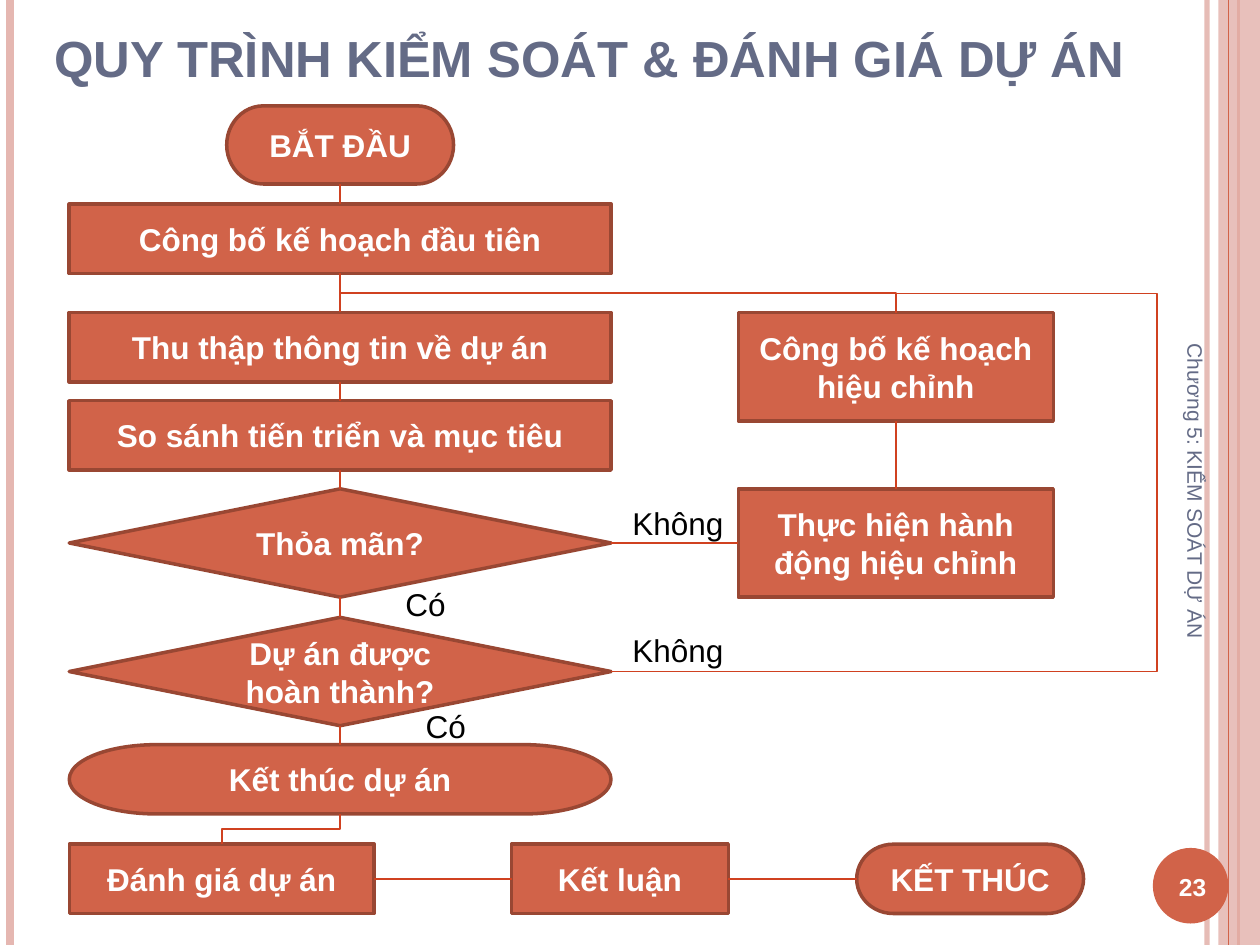
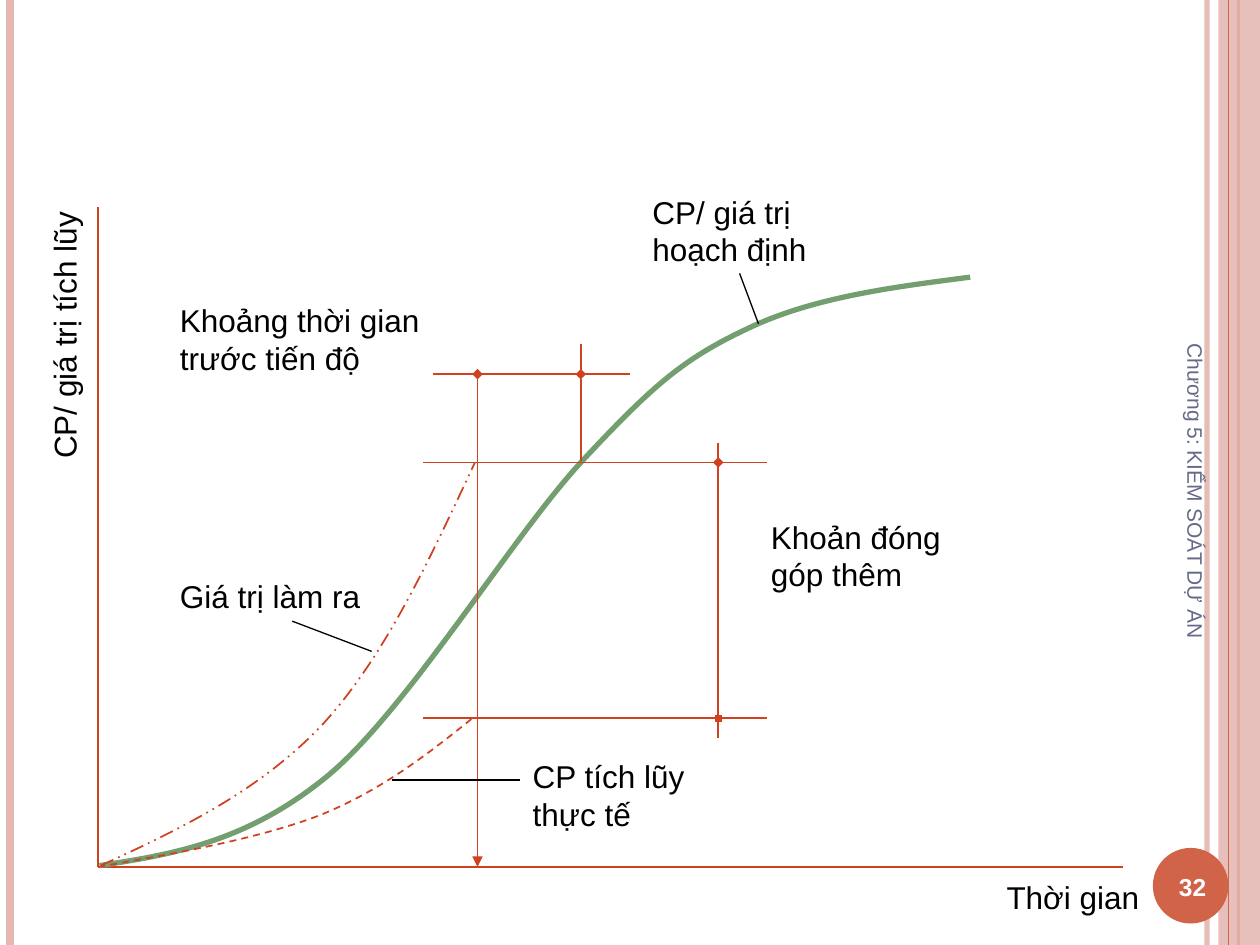
from lxml.etree import SubElement
from pptx import Presentation
from pptx.dml.color import RGBColor
from pptx.enum.dml import MSO_LINE as Dash
from pptx.enum.shapes import MSO_CONNECTOR as Link, MSO_SHAPE as Form
from pptx.enum.text import MSO_ANCHOR as Anchor, MSO_AUTO_SIZE as Fit, PP_ALIGN as Align
from pptx.oxml.ns import qn
from pptx.util import Inches, Pt

# Shared look
FONT = "Arial"
BRICK, BRICK_EDGE, RUST = "D16349", "994733", "D04120"
PINK, SLATE, GREEN = "E5B7B1", "646B86", "739E6F"
WHITE, BLACK = "FFFFFF", "000000"
colour = RGBColor.from_string

# The slide is a grid of 100 columns by 75 rows
COLUMNS, ROWS = 100, 75
CELL = Inches(0.1)

deck = Presentation()
deck.slide_width = CELL * COLUMNS
deck.slide_height = CELL * ROWS


def set_box(box, frame, text="", size=18, ink=BLACK, bold=False,
            align=Align.LEFT, anchor=Anchor.TOP):
    """Place a box on the grid and write its text."""
    box.left, box.top, box.width, box.height = [int(CELL * n) for n in frame]
    if not text:
        return
    body = box.text_frame
    body.word_wrap = True
    body.auto_size = Fit.NONE
    body.vertical_anchor = anchor
    para = body.paragraphs[0]
    para.alignment = align
    span = para.add_run()
    span.text = text
    span.font.name = FONT
    span.font.size = Pt(size)
    span.font.bold = bold
    span.font.color.rgb = colour(ink)


def add_line(page, points, ink=RUST, width=1, kind=Link.STRAIGHT, head=None, tail=None):
    """Join two grid points, with optional line ends."""
    line = page.shapes.add_connector(kind, *[int(CELL * n) for n in points])
    line.line.color.rgb = colour(ink)
    line.line.width = Pt(width)
    outline = line.element.find(".//" + qn("a:ln"))
    for tag, end in (("a:headEnd", head), ("a:tailEnd", tail)):
        if end:
            SubElement(outline, qn(tag), type=end)
    SubElement(line.element.find(qn("p:spPr")), qn("a:effectLst"))
    return line


# Pages with their shared bands, chapter name and number
TITLE_ONLY, BLANK = 5, 6
pages = []
for layout, number in ((TITLE_ONLY, "23"), (BLANK, "32")):
    page = deck.slides.add_slide(deck.slide_layouts[layout])
    pages.append(page)
    stripes = [add_line(page, (x, 0, x, ROWS), ink, width) for x, ink, width in (
        (95.8, PINK, 3), (0.8, PINK, 4.5), (98.3, BRICK, 1.5))]
    band = page.shapes.add_shape(Form.RECTANGLE, 0, 0, 0, 0)
    set_box(band, (96.7, 0, 3.3, ROWS))
    add_line(page, (97.5, 0, 97.5, ROWS), BRICK, 0.75)
    disc = page.shapes.add_shape(Form.OVAL, 0, 0, 0, 0)
    set_box(disc, (91.5, 67.3, 6, 6))
    for shape, ink in ((band, PINK), (disc, BRICK)):
        shape.shadow.inherit = False
        shape.fill.solid()
        shape.fill.fore_color.rgb = colour(ink)
        shape.line.fill.background()
    for shape, opacity in ((stripes[0], 93), (band, 87)):
        tint = shape.element.find(".//" + qn("a:srgbClr"))
        SubElement(tint, qn("a:alpha"), val=str(opacity * 1000))
    chapter = page.shapes.add_textbox(0, 0, 0, 0)
    set_box(chapter, (77.4, 41.8, 35, 4), "Chương 5: KIỂM SOÁT DỰ ÁN", 12, SLATE,
            anchor=Anchor.MIDDLE)
    chapter.rotation = 90
    set_box(page.shapes.add_textbox(0, 0, 0, 0), (91.3, 67.5, 6.7, 5.7), number, 14,
            WHITE, True, Align.CENTER, Anchor.MIDDLE)
flow, graph = pages

# Flowchart: title
set_box(flow.shapes.title, (3.3, 0.5, 91.2, 7), "QUY TRÌNH KIỂM SOÁT & ĐÁNH GIÁ DỰ ÁN",
        29, SLATE, True, anchor=Anchor.BOTTOM)

# Flowchart: the main column, the correction loop and the closing row
LEFT, WIDE, AXIS = 5.5, 43, 27
LOW, TALL = 5.5, 8.6
SIDE, SIDE_WIDE, SIDE_AXIS = 58.6, 25, 71.1
LAST_ROW = 67
PROCESS, DECISION, TERMINAL = (
    Form.FLOWCHART_PROCESS, Form.FLOWCHART_DECISION, Form.FLOWCHART_TERMINATOR)
spine = [
    (TERMINAL, 18, 8.4, 18, 6.2, "BẮT ĐẦU"),
    (PROCESS, LEFT, 16.2, WIDE, LOW, "Công bố kế hoạch đầu tiên"),
    (PROCESS, LEFT, 24.8, WIDE, LOW, "Thu thập thông tin về dự án"),
    (PROCESS, LEFT, 31.8, WIDE, LOW, "So sánh tiến triển và mục tiêu"),
    (DECISION, LEFT, 38.8, WIDE, TALL, "Thỏa mãn?"),
    (DECISION, LEFT, 49, WIDE, TALL, "Dự án được hoàn thành?"),
    (TERMINAL, LEFT, 59.1, WIDE, LOW, "Kết thúc dự án"),
]
correction = [
    (PROCESS, SIDE, 24.8, SIDE_WIDE, TALL, "Công bố kế hoạch hiệu chỉnh"),
    (PROCESS, SIDE, 38.8, SIDE_WIDE, TALL, "Thực hiện hành động hiệu chỉnh"),
]
closing = [
    (PROCESS, LEFT, LAST_ROW, 24.2, LOW, "Đánh giá dự án"),
    (PROCESS, 40.6, LAST_ROW, 17.2, LOW, "Kết luận"),
    (TERMINAL, 68, LAST_ROW, 18, LOW, "KẾT THÚC"),
]
for form, *frame, text in spine + correction + closing:
    step = flow.shapes.add_shape(form, 0, 0, 0, 0)
    set_box(step, frame, text, 18, WHITE, True, Align.CENTER, Anchor.MIDDLE)
    step.shadow.inherit = False
    step.fill.solid()
    step.fill.fore_color.rgb = colour(BRICK)
    step.line.color.rgb = colour(BRICK_EDGE)
    step.line.width = Pt(2)

# Flowchart: straight links between neighbours
for axis, steps in ((AXIS, spine), (SIDE_AXIS, correction)):
    for above, below in zip(steps, steps[1:]):
        add_line(flow, (axis, above[2] + above[4], axis, below[2]))
for before, after in zip(closing, closing[1:]):
    middle = LAST_ROW + LOW / 2
    add_line(flow, (before[1] + before[3], middle, after[1], middle))
add_line(flow, (LEFT + WIDE, 43.1, SIDE, 43.1))

# Flowchart: elbows that leave downwards are level elbows turned by 90 degrees
for x1, y1, x2, y2 in ((AXIS, 21.7, SIDE_AXIS, 24.8), (AXIS, 64.6, 17.6, LAST_ROW)):
    x, y = (x1 + x2) / 2, (y1 + y2) / 2
    across, down = (x2 - x1) / 2, (y2 - y1) / 2
    elbow = add_line(flow, (x - down, y + across, x + down, y - across), kind=Link.ELBOW)
    elbow.element.find(".//" + qn("a:xfrm")).set("rot", str(90 * 60000))

# Flowchart: the loop back when the project is unfinished
loop = add_line(flow, (LEFT + WIDE, 53.3, SIDE_AXIS, 24.8), kind=Link.ELBOW)
preset = loop.element.find(".//" + qn("a:prstGeom"))
preset.set("prst", "bentConnector4")
guides = preset.find(qn("a:avLst"))
if guides is None:
    guides = SubElement(preset, qn("a:avLst"))
for name, share in (("adj1", 191700), ("adj2", 105300)):
    SubElement(guides, qn("a:gd"), name=name, fmla=f"val {share}")

# Flowchart: answers
for x, y, answer in ((49.2, 39.5, "Không"), (49.2, 49.6, "Không"),
                     (31.2, 45.9, "Có"), (32.8, 55.6, "Có")):
    set_box(flow.shapes.add_textbox(0, 0, 0, 0), (x, y, 9.4, 4), answer)

# Graph: axes
ORIGIN_X, ORIGIN_Y = 7.8, 68.8
add_line(graph, (ORIGIN_X, ORIGIN_Y, 89.1, ORIGIN_Y))
add_line(graph, (ORIGIN_X, ORIGIN_Y, ORIGIN_X, 16.4))

# Graph: curves in hundredths of an inch, three points to each Bézier piece
planned = [(79, 687), (138, 678), (197, 668), (261, 615), (325, 561), (407, 425),
           (462, 366), (518, 306), (542, 285), (593, 261), (645, 236), (708, 228), (770, 220)]
earned = [(80, 687), (143, 658), (206, 628), (256, 575), (305, 522), (341, 444), (377, 367)]
actual = [(78, 688), (141, 677), (204, 666), (254, 647), (303, 627), (339, 599), (375, 570)]
for points, ink, width, dash in ((planned, GREEN, 3, None),
                                 (earned, RUST, 1, Dash.DASH_DOT_DOT),
                                 (actual, RUST, 1, Dash.DASH)):
    outline = graph.shapes.build_freeform(*points[0], scale=CELL / 10)
    outline.add_line_segments(points[1:], close=False)
    curve = outline.convert_to_shape()
    track = curve.element.find(".//" + qn("a:path"))
    segments = track.findall(qn("a:lnTo"))
    for first in range(0, len(segments), 3):
        piece = SubElement(track, qn("a:cubicBezTo"))
        for segment in segments[first:first + 3]:
            piece.append(segment[0])
            track.remove(segment)
    curve.shadow.inherit = False
    curve.fill.background()
    curve.line.color.rgb = colour(ink)
    curve.line.width = Pt(width)
    if dash:
        curve.line.dash_style = dash

# Graph: levels, today's date and the two gaps
TODAY, PLAN_DATE, GAP = 37.9, 46.1, 57
TOP, EARNED, SPENT = 29.7, 36.7, 57
for points in ((33.6, EARNED, 60.9, EARNED), (34.4, TOP, 50, TOP),
               (33.6, SPENT, 60.9, SPENT), (PLAN_DATE, TOP, PLAN_DATE, 27.3),
               (GAP, 35.2, GAP, 58.6)):
    add_line(graph, points)
add_line(graph, (TODAY, TOP, TODAY, ORIGIN_Y), head="diamond", tail="triangle")
for points in ((PLAN_DATE, 36.6, PLAN_DATE, TOP), (GAP, 43.6, GAP, EARNED),
               (56.9, 56.9, GAP, SPENT)):
    add_line(graph, points, tail="diamond")

# Graph: labels and their pointers
value_axis = graph.shapes.add_textbox(0, 0, 0, 0)
set_box(value_axis, (-8.9, 21.4, 28, 4), "CP/ giá trị tích lũy")
value_axis.rotation = 270
for *frame, label in (
        (78.9, 69.2, 16.4, 4, "Thời gian"),
        (41.3, 59.6, 15.6, 7, "CP tích lũy thực tế"),
        (60.2, 40.6, 15.6, 7, "Khoản đóng góp thêm"),
        (50.8, 14.8, 15.6, 7, "CP/ giá trị hoạch định"),
        (13.3, 23.4, 23.4, 7, "Khoảng thời gian trước tiến độ"),
        (13.3, 45.3, 21.1, 4, "Giá trị làm ra")):
    set_box(graph.shapes.add_textbox(0, 0, 0, 0), frame, label)
for points in ((29.5, 51.7, 23.2, 49.3), (31.1, 61.9, 41.3, 61.9), (60.2, 25.7, 58.7, 21.7)):
    add_line(graph, points, BLACK, 0.75)

deck.save("out.pptx")
